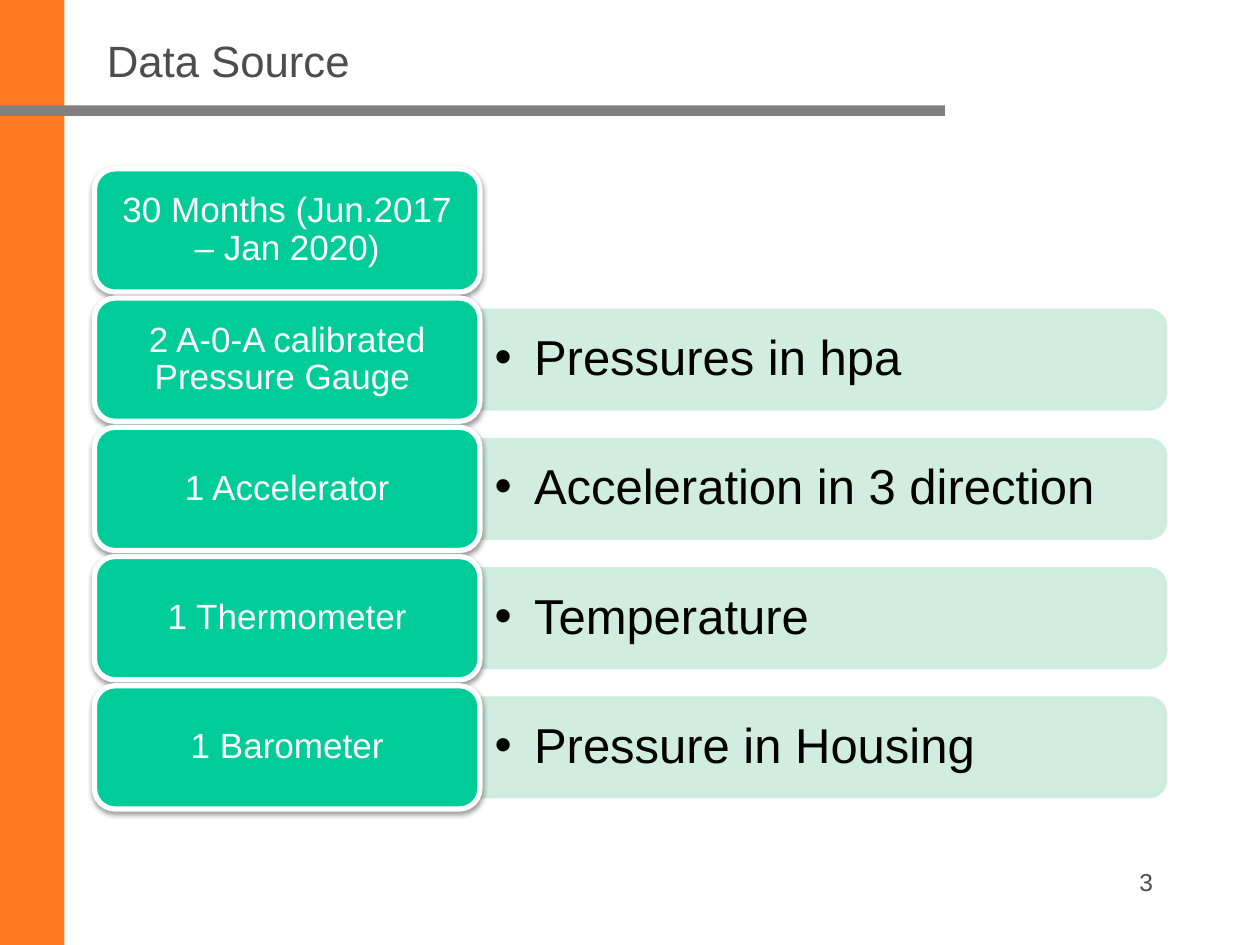
from pptx import Presentation
from pptx.dml.color import RGBColor
from pptx.enum.shapes import MSO_SHAPE
from pptx.enum.text import MSO_ANCHOR, PP_ALIGN
from pptx.oxml.ns import qn
from pptx.util import Pt
from lxml import etree

RECT = MSO_SHAPE.RECTANGLE
ROUND = MSO_SHAPE.ROUNDED_RECTANGLE
TAB = MSO_SHAPE.ROUND_2_SAME_RECTANGLE
LEFT, CENTER, RIGHT = PP_ALIGN.LEFT, PP_ALIGN.CENTER, PP_ALIGN.RIGHT
TOP, MIDDLE = MSO_ANCHOR.TOP, MSO_ANCHOR.MIDDLE

COLORS = {
    "side": "FF7C23", "rule": "808080", "text": "4D4D4D", "card": "00CC99",
    "pane": "CCECDE", "white": "FFFFFF", "black": "000000",
}

ROWS = [
    ("30 Months (Jun.2017 – Jan 2020)", None),
    ("2 A-0-A calibrated Pressure Gauge ", "Pressures in hpa"),
    ("1 Accelerator", "Acceleration in 3 direction"),
    ("1 Thermometer", "Temperature"),
    ("1 Barometer", "Pressure in Housing"),
]

deck = Presentation()
deck.slide_width, deck.slide_height = Pt(720), Pt(540)
slide = deck.slides.add_slide(deck.slide_layouts[6])


def add_box(kind, x, y, w, h, fill, line=None, width=0):
    """Add a filled preset shape without a shadow, outlined if line is given."""
    box = slide.shapes.add_shape(kind, Pt(x), Pt(y), Pt(w), Pt(h))
    box.shadow.inherit = False
    box.fill.solid()
    box.fill.fore_color.rgb = RGBColor.from_string(COLORS[fill])
    if line:
        box.line.color.rgb = RGBColor.from_string(COLORS[line])
        box.line.width = Pt(width)
    else:
        box.line.fill.background()
    return box


def put_text(box, text, size, color, align=LEFT, anchor=MIDDLE,
             pad=(7.2, 3.6), space=0.9):
    """Write one paragraph into a shape; pad is the side and top inset."""
    frame = box.text_frame
    frame.word_wrap = True
    frame.vertical_anchor = anchor
    frame.margin_left = frame.margin_right = Pt(pad[0])
    frame.margin_top = frame.margin_bottom = Pt(pad[1])
    para = frame.paragraphs[0]
    para.alignment = align
    para.line_spacing = space
    run = para.add_run()
    run.text = text
    run.font.name = "Arial"
    run.font.size = Pt(size)
    run.font.color.rgb = RGBColor.from_string(COLORS[color])
    return para


# Frame of the slide
add_box(RECT, 0, 0, 36.8, 540, "side")
add_box(RECT, 0, 60.2, 540, 6, "rule")
title = slide.shapes.add_textbox(Pt(54), Pt(18), Pt(612), Pt(36))
put_text(title, "Data Source", 25, "text")
number = slide.shapes.add_textbox(Pt(516), Pt(492), Pt(150), Pt(36))
put_text(number, "3", 14, "text", align=RIGHT, anchor=TOP, space=1)

# One card per row, with a pane to its right
card_x, card_y, card_w, card_h = 54, 96.5, 220.3, 70.4
step = 73.85
pane_w, pane_h = 391.7, 56.3
pane_x = card_x + card_w

for i, (name, detail) in enumerate(ROWS):
    y = card_y + i * step
    mid = y + card_h / 2
    if detail:
        # The tab stands upright and is turned so its round end points right
        pane = add_box(TAB, pane_x + (pane_w - pane_h) / 2, mid - pane_w / 2,
                       pane_h, pane_w, "pane", "pane", 2)
        pane.rotation = 90
        for tint in pane.element.spPr.iter(qn("a:srgbClr")):
            etree.SubElement(tint, qn("a:alpha"), val="90000")

        label = slide.shapes.add_textbox(Pt(pane_x), Pt(mid - 25.5),
                                         Pt(389), Pt(51))
        para = put_text(label, detail, 28, "black", pad=(8.4, 4.2))
        props = para._p.get_or_add_pPr()
        props.set("marL", str(Pt(22.5)))
        props.set("indent", str(Pt(-22.5)))
        etree.SubElement(props, qn("a:buFont"), typeface="Arial")
        etree.SubElement(props, qn("a:buChar"), char="•")

    card = add_box(ROUND, card_x, y, card_w, card_h, "card", "white", 3)
    put_text(card, name, 20, "white", align=CENTER, pad=(9.4, 6.2))
    effects = card.element.spPr.find(qn("a:effectLst"))
    shade = etree.SubElement(effects, qn("a:outerShdw"), blurRad=str(Pt(3.1)),
                             dist=str(Pt(1.6)), dir="5400000", rotWithShape="0")
    tone = etree.SubElement(shade, qn("a:srgbClr"), val=COLORS["black"])
    etree.SubElement(tone, qn("a:alpha"), val="38000")

deck.save("out.pptx")
